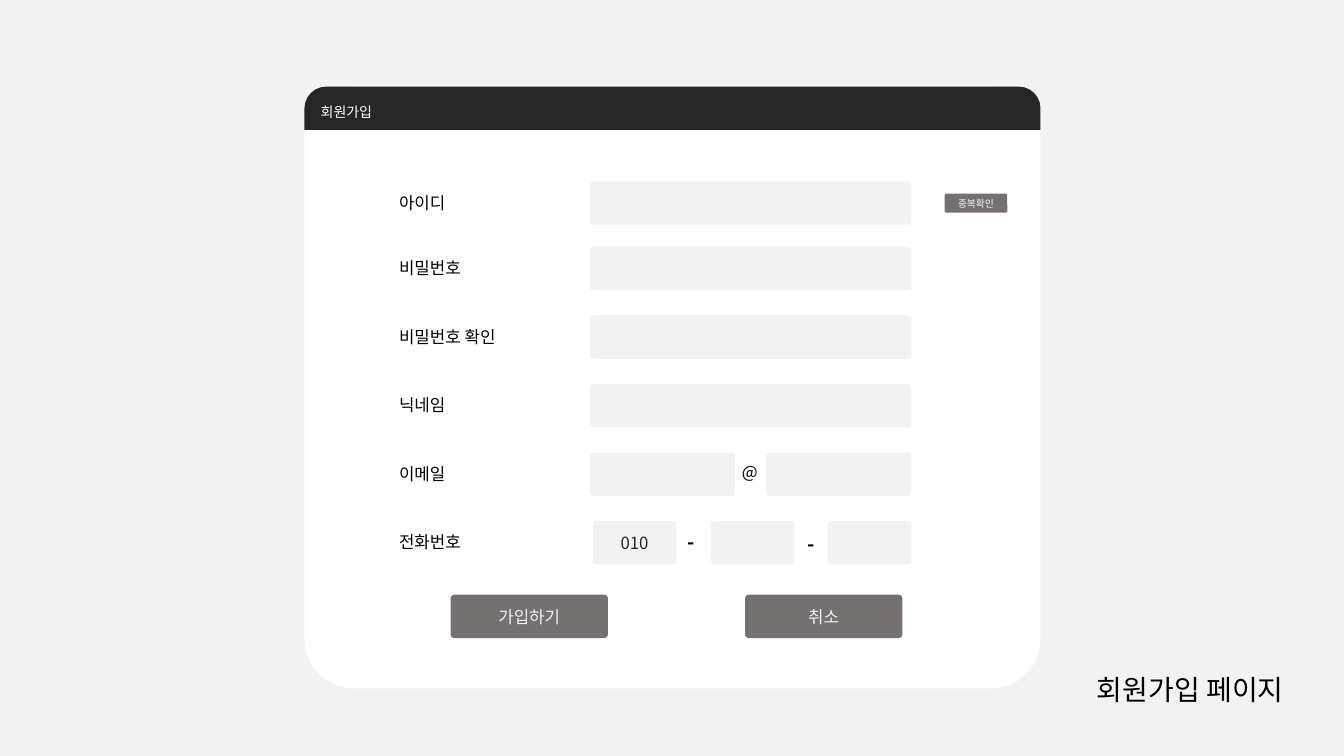
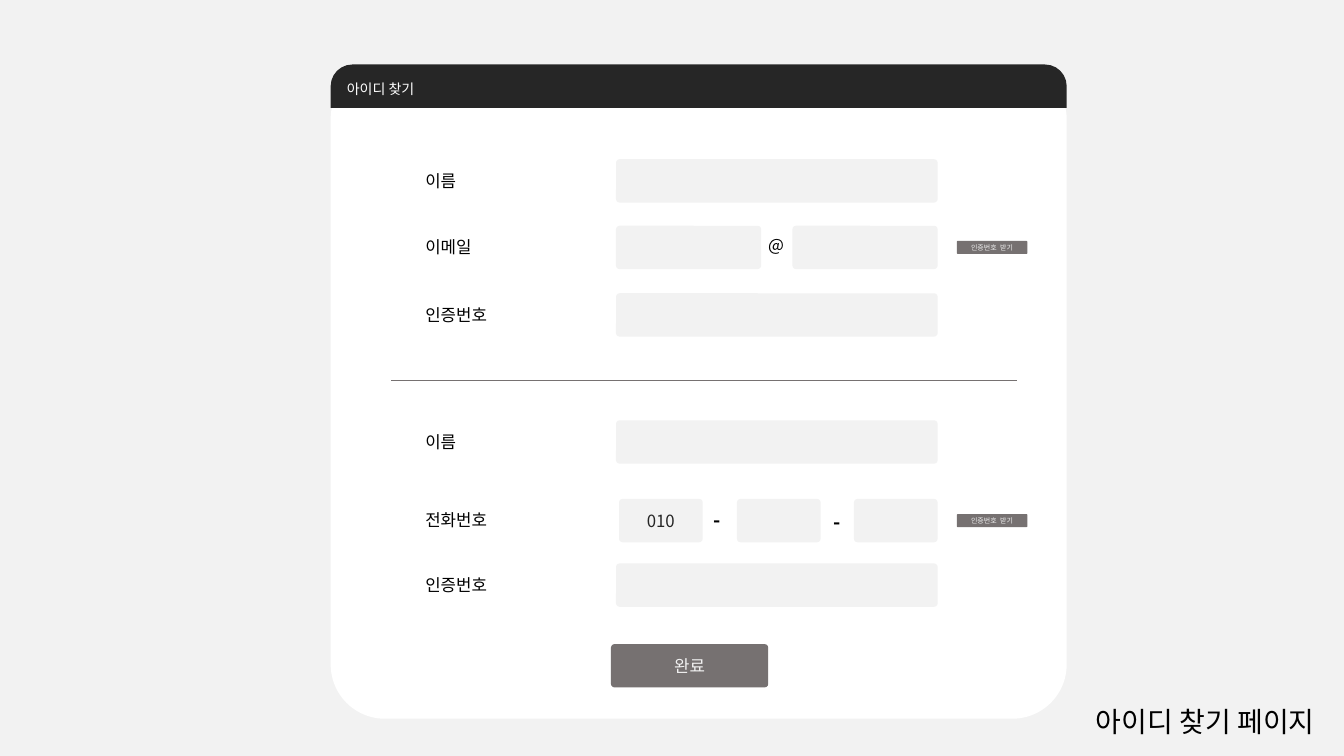
"""Build two sign-up wireframe slides that share one form window design."""
import dataclasses

import lxml.etree
import pptx
import pptx.dml.color
import pptx.enum.shapes
import pptx.enum.text
import pptx.oxml.ns
import pptx.util

Inches = pptx.util.Inches
SHAPE = pptx.enum.shapes.MSO_SHAPE
ALIGN = pptx.enum.text.PP_ALIGN
ANCHOR = pptx.enum.text.MSO_ANCHOR
AUTO_SIZE = pptx.enum.text.MSO_AUTO_SIZE


@dataclasses.dataclass(frozen=True)
class Theme:
    """Colours, type sizes and repeated measures."""
    font: str = "Noto Sans CJK KR"
    pale: str = "F2F2F2"
    white: str = "FFFFFF"
    dark: str = "262626"
    grey: str = "767171"
    black: str = "000000"
    title_size: int = 20
    dash_size: int = 14
    label_size: int = 12
    bar_size: int = 10
    corner: float = 0.083
    row_height: float = 0.43
    panel_width: float = 7.3
    label_left: float = 0.84
    field_left: float = 2.83
    field_width: float = 3.19
    email_width: float = 1.44
    phone_width: float = 0.83
    action_width: float = 1.56


THEME = Theme()


@dataclasses.dataclass(frozen=True)
class Row:
    """One form row, with its top measured from the window."""
    label: str
    top: float
    kind: str = "single"


@dataclasses.dataclass(frozen=True)
class Button:
    """One button, with its box measured from the window."""
    text: str
    left: float
    top: float
    width: float = THEME.action_width
    height: float = THEME.row_height
    size: int = THEME.label_size


def rgb(colour):
    """Return the colour object for a hex string."""
    return pptx.dml.color.RGBColor.from_string(colour)


def apply_format(target, values):
    """Set every attribute named in the values."""
    for name, value in values.items():
        setattr(target, name, value)


def write_text(shape, text, size, colour, align=ALIGN.LEFT, bold=False, **frame_format):
    """Write one formatted paragraph into a shape."""
    frame = shape.text_frame
    apply_format(frame, {"word_wrap": True, **frame_format})
    paragraph = frame.paragraphs[0]
    paragraph.alignment = align
    run = paragraph.add_run()
    run.text = text
    apply_format(run.font, {"name": THEME.font, "size": pptx.util.Pt(size), "bold": bold})
    run.font.color.rgb = rgb(colour)
    east_asian = lxml.etree.SubElement(run.font._element, pptx.oxml.ns.qn("a:ea"))
    east_asian.set("typeface", THEME.font)


def add_block(slide, box, colour, kind=SHAPE.ROUNDED_RECTANGLE, corner=THEME.corner):
    """Add a filled shape without line or shadow."""
    shape = slide.shapes.add_shape(kind, *map(Inches, box))
    shape.shadow.inherit = False
    shape.fill.solid()
    shape.fill.fore_color.rgb = rgb(colour)
    shape.line.fill.background()
    shape.adjustments[0] = corner
    return shape


def add_label(slide, box, text, size=THEME.label_size, bold=False):
    """Add a black text box."""
    label = slide.shapes.add_textbox(*map(Inches, box))
    write_text(label, text, size, THEME.black, bold=bold,
               auto_size=AUTO_SIZE.SHAPE_TO_FIT_TEXT)


def add_field(slide, left, top, width, text=""):
    """Add one input field, filled in when text is given."""
    field = add_block(slide, (left, top, width, THEME.row_height), THEME.pale)
    if text:
        write_text(field, text, THEME.label_size, THEME.dark, ALIGN.CENTER,
                   vertical_anchor=ANCHOR.MIDDLE)


def add_single_input(slide, left, top):
    """Add a full-width input."""
    add_field(slide, left, top, THEME.field_width)


def add_email_input(slide, left, top):
    """Add two inputs parted by an at sign."""
    second_left = left + THEME.field_width - THEME.email_width
    for field_left in (left, second_left):
        add_field(slide, field_left, top, THEME.email_width)
    add_label(slide, (left + 1.41, top + 0.04, 0.41, 0.3), "@")


def add_phone_input(slide, left, top):
    """Add three inputs parted by dashes."""
    for offset, text in ((0.03, "010"), (1.2, ""), (2.36, "")):
        add_field(slide, left + offset, top, THEME.phone_width, text)
    for offset, drop in ((0.87, 0.04), (2.06, 0.06)):
        add_label(slide, (left + offset, top + drop, 0.33, 0.34), "-",
                  THEME.dash_size, True)


INPUTS = {"single": add_single_input, "email": add_email_input, "phone": add_phone_input}


def add_row(slide, left, top, row):
    """Add the label and input of one form row."""
    row_top = top + row.top
    add_label(slide, (left + THEME.label_left, row_top + 0.06, 1.44, 0.3), row.label)
    INPUTS[row.kind](slide, left + THEME.field_left, row_top)


def add_button(slide, left, top, button):
    """Add a grey button with centred text."""
    box = (left + button.left, top + button.top, button.width, button.height)
    write_text(add_block(slide, box, THEME.grey), button.text, button.size, THEME.pale,
               ALIGN.CENTER, vertical_anchor=ANCHOR.MIDDLE)


def add_window(slide, box, heading):
    """Add the white window and its dark heading bar."""
    left, top, width, _ = box
    add_block(slide, box, THEME.white)
    bar = add_block(slide, (left, top, width, THEME.row_height), THEME.dark,
                    SHAPE.ROUND_2_SAME_RECTANGLE, 0.5)
    write_text(bar, heading, THEME.bar_size, THEME.white, vertical_anchor=ANCHOR.MIDDLE)


def add_divider(slide, left, top, width):
    """Add a thin horizontal line."""
    line = slide.shapes.add_connector(pptx.enum.shapes.MSO_CONNECTOR.STRAIGHT,
                                      *map(Inches, (left, top, left + width, top)))
    line.line.color.rgb = rgb(THEME.grey)
    line.line.width = pptx.util.Pt(0.5)
    lxml.etree.SubElement(line._element.spPr, pptx.oxml.ns.qn("a:effectLst"))


def place_title(slide, left, top, text):
    """Move and format the title placeholder."""
    title = slide.shapes.title
    apply_format(title, {"left": Inches(left), "top": Inches(top),
                         "width": Inches(2.95), "height": Inches(0.44)})
    write_text(title, text, THEME.title_size, THEME.black, ALIGN.CENTER,
               vertical_anchor=ANCHOR.TOP, auto_size=AUTO_SIZE.SHAPE_TO_FIT_TEXT)


def add_form_slide(presentation, title, title_at, heading, window, rows, buttons):
    """Add a slide with a titled form window and return it."""
    slide = presentation.slides.add_slide(presentation.slide_layouts[5])
    left, top, height = window
    place_title(slide, *title_at, title)
    add_window(slide, (left, top, THEME.panel_width, height), heading)
    for row in rows:
        add_row(slide, left, top, row)
    for button in buttons:
        add_button(slide, left, top, button)
    return slide


def add_sign_up_slide(presentation):
    """Add the sign-up form."""
    labels = ("아이디", "비밀번호", "비밀번호 확인", "닉네임", "이메일", "전화번호")
    tops = (0.94, 1.59, 2.27, 2.95, 3.63, 4.31)
    kinds = ("single",) * 4 + ("email", "phone")
    rows = [Row(*values) for values in zip(labels, tops, kinds)]
    buttons = (Button("가입하기", 1.45, 5.04), Button("취소", 4.37, 5.04),
               Button("중복확인", 6.35, 1.06, 0.62, 0.19, 7))
    add_form_slide(presentation, "회원가입 페이지", (10.33, 6.62), "회원가입",
                   (3.02, 0.86, 5.97), rows, buttons)


def add_find_id_slide(presentation):
    """Add the form that finds an ID by email or by phone."""
    left, top, height = window = (3.28, 0.64, 6.49)
    rows = (Row("이름", 0.94), Row("이메일", 1.6, "email"), Row("인증번호", 2.27),
            Row("이름", 3.53), Row("전화번호", 4.31, "phone"), Row("인증번호", 4.95))
    code_buttons = [Button("인증번호  받기", 6.21, row.top + 0.15, 0.7, 0.13, 5)
                    for row in rows if row.kind != "single"]
    slide = add_form_slide(presentation, "아이디 찾기 페이지", (10.48, 6.94), "아이디 찾기",
                           window, rows, code_buttons + [Button("완료", 2.78, 5.75)])
    add_divider(slide, left + 0.6, top + 3.13, 6.21)


def main():
    """Build and save the presentation."""
    presentation = pptx.Presentation()
    apply_format(presentation, {"slide_width": Inches(13.33), "slide_height": Inches(7.5)})
    background = presentation.slide_master.background.fill
    background.solid()
    background.fore_color.rgb = rgb(THEME.pale)
    add_sign_up_slide(presentation)
    add_find_id_slide(presentation)
    presentation.save("out.pptx")


if __name__ == "__main__":
    main()
